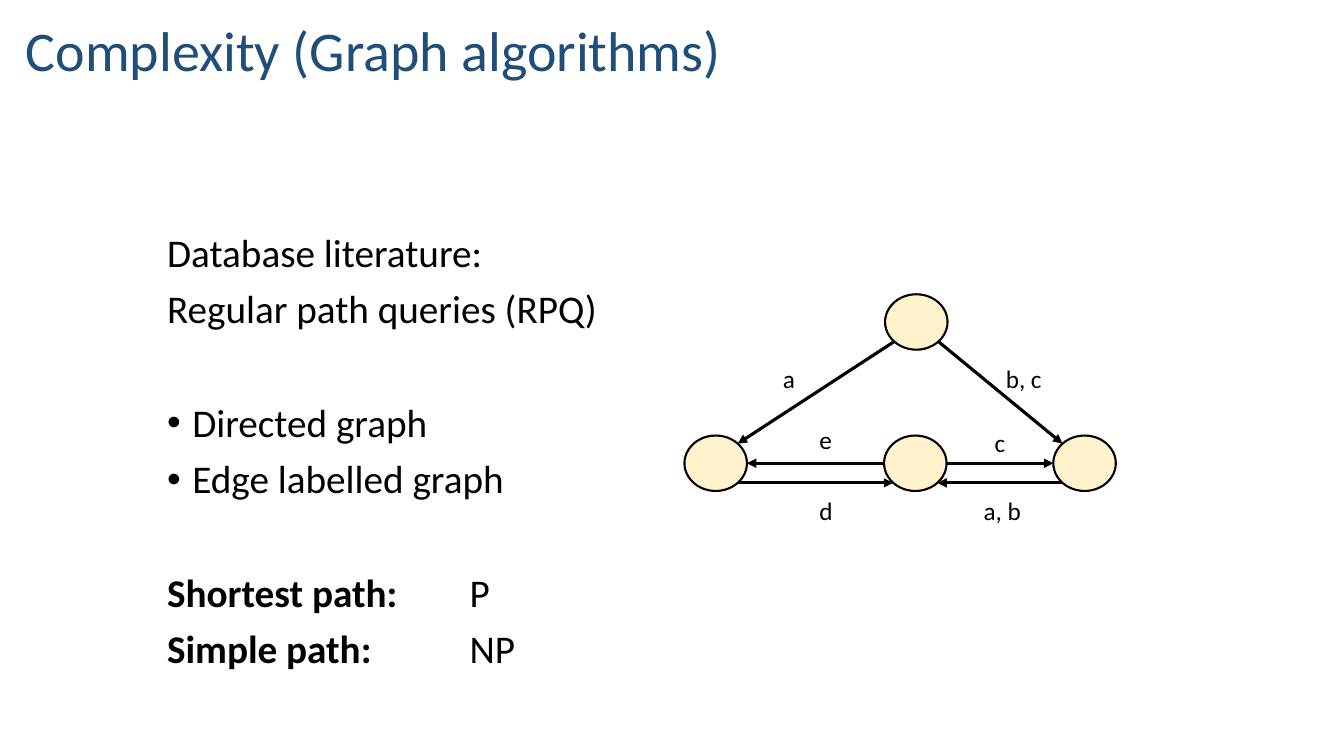
from dataclasses import dataclass
from math import sqrt

from lxml import etree
from pptx import Presentation
from pptx.dml.color import RGBColor
from pptx.enum.shapes import MSO_CONNECTOR, MSO_SHAPE
from pptx.enum.text import MSO_ANCHOR, MSO_AUTO_SIZE
from pptx.oxml.ns import qn
from pptx.util import Pt

STRAIGHT = MSO_CONNECTOR.STRAIGHT
ELLIPSE = MSO_SHAPE.OVAL
TOP, BOTTOM = MSO_ANCHOR.TOP, MSO_ANCHOR.BOTTOM
NO_FIT, FIT_SHAPE = MSO_AUTO_SIZE.NONE, MSO_AUTO_SIZE.SHAPE_TO_FIT_TEXT


@dataclass(frozen=True)
class Theme:
    font: str = "Calibri"
    title: RGBColor = RGBColor(0x1F, 0x4E, 0x79)
    ink: RGBColor = RGBColor(0, 0, 0)
    node: RGBColor = RGBColor(0xFF, 0xF2, 0xCC)
    title_size: float = 40
    body_size: float = 28
    label_size: float = 18
    outline: float = 1.5
    arrow: float = 2.25


THEME = Theme()
NODE_W, NODE_H = 44.64, 39.6
SPACING, SECTION_SPACING = 10, 50.75
BULLET_INDENT, ANSWER_TAB = 18, 216

BODY = [
    ([("Database literature:", False)], SPACING, False),
    ([("Regular path queries (RPQ)", False)], SPACING, False),
    ([("Directed graph", False)], SECTION_SPACING, True),
    ([("Edge labelled graph", False)], SPACING, True),
    ([("Shortest path: ", True), ("\tP", False)], SECTION_SPACING, False),
    ([("Simple path: ", True), ("\tNP", False)], SPACING, False),
]

NODES = {
    "top": (654.5, 230),
    "left": (511.2, 330.9),
    "middle": (653.8, 330.9),
    "right": (774.7, 330.9),
}

DIAGONAL = 1 / sqrt(2)
SITES = {
    "W": (-1, 0),
    "E": (1, 0),
    "SW": (-DIAGONAL, DIAGONAL),
    "SE": (DIAGONAL, DIAGONAL),
    "NW": (-DIAGONAL, -DIAGONAL),
    "NE": (DIAGONAL, -DIAGONAL),
}

EDGES = [
    ("top", "SW", "left", "NE"),
    ("top", "SE", "right", "NW"),
    ("middle", "W", "left", "E"),
    ("middle", "E", "right", "W"),
    ("left", "SE", "middle", "SW"),
    ("right", "SW", "middle", "SE"),
]

LABELS = [
    ("a", 552.2, 256.3, 23),
    ("b, c", 711.4, 256.3, 40.3),
    ("e", 578.2, 299.5, 24.5),
    ("c", 703.4, 301.7, 22.3),
    ("d", 578.2, 350.6, 24.5),
    ("a, b", 695.5, 350.6, 41.8),
]


def apply(target, values):
    for name, value in values.items():
        setattr(target, name, value)


def add_text_frame(shapes, left, top, width, height, **frame_format):
    tf = shapes.add_textbox(Pt(left), Pt(top), Pt(width), Pt(height)).text_frame
    apply(tf, {"word_wrap": True, "auto_size": NO_FIT,
               "vertical_anchor": TOP, **frame_format})
    return tf


def add_run(p, text, size, color, bold=False):
    r = p.add_run()
    r.text = text
    apply(r.font, {"name": THEME.font, "size": Pt(size), "bold": bold})
    r.font.color.rgb = color


def add_bullet(p):
    pPr = p._p.get_or_add_pPr()
    pPr.set("marL", str(Pt(BULLET_INDENT)))
    pPr.set("indent", str(-Pt(BULLET_INDENT)))
    etree.SubElement(pPr, qn("a:buFont")).set("typeface", "Arial")
    etree.SubElement(pPr, qn("a:buChar")).set("char", "•")


def add_tab_stop(p, position):
    tabs = etree.SubElement(p._p.get_or_add_pPr(), qn("a:tabLst"))
    tab = etree.SubElement(tabs, qn("a:tab"))
    tab.set("pos", str(Pt(position)))
    tab.set("algn", "l")


def add_title(shapes, text):
    tf = add_text_frame(shapes, 11.5, -3.6, 571, 67, vertical_anchor=BOTTOM)
    p = tf.paragraphs[0]
    p.line_spacing = 0.9
    add_run(p, text, THEME.title_size, THEME.title)


def add_body(shapes):
    tf = add_text_frame(shapes, 112.3, 163.4, 414.7, 364.3)
    for i, (runs, space, bulleted) in enumerate(BODY):
        p = tf.add_paragraph() if i else tf.paragraphs[0]
        apply(p, {"line_spacing": 0.9, "space_before": Pt(space)})
        if bulleted:
            add_bullet(p)
        if len(runs) > 1:
            add_tab_stop(p, ANSWER_TAB)
        for text, bold in runs:
            add_run(p, text, THEME.body_size, THEME.ink, bold)


def add_node(shapes, x, y):
    sp = shapes.add_shape(ELLIPSE, Pt(x - NODE_W / 2), Pt(y - NODE_H / 2),
                          Pt(NODE_W), Pt(NODE_H))
    sp.shadow.inherit = False
    sp.fill.solid()
    sp.fill.fore_color.rgb = THEME.node
    sp.line.color.rgb = THEME.ink
    sp.line.width = Pt(THEME.outline)


def site_point(node, site):
    (x, y), (dx, dy) = NODES[node], SITES[site]
    return Pt(x + dx * NODE_W / 2), Pt(y + dy * NODE_H / 2)


def add_edge(shapes, source, source_site, target, target_site):
    cxn = shapes.add_connector(STRAIGHT, *site_point(source, source_site),
                               *site_point(target, target_site))
    cxn.line.color.rgb = THEME.ink
    cxn.line.width = Pt(THEME.arrow)
    etree.SubElement(cxn.line._get_or_add_ln(), qn("a:tailEnd")).set("type", "triangle")
    etree.SubElement(cxn._element.spPr, qn("a:effectLst"))


def add_label(shapes, text, left, top, width):
    tf = add_text_frame(shapes, left, top, width, 29,
                        word_wrap=False, auto_size=FIT_SHAPE)
    add_run(tf.paragraphs[0], text, THEME.label_size, THEME.ink)


def add_graph(shapes):
    group = shapes.add_group_shape().shapes
    for center in NODES.values():
        add_node(group, *center)
    for edge in EDGES:
        add_edge(group, *edge)
    for label in LABELS:
        add_label(group, *label)


def main():
    prs = Presentation()
    apply(prs, {"slide_width": Pt(960), "slide_height": Pt(540)})
    s = prs.slides.add_slide(prs.slide_layouts[6])
    add_body(s.shapes)
    add_title(s.shapes, "Complexity (Graph algorithms)")
    add_graph(s.shapes)
    prs.save("out.pptx")


if __name__ == "__main__":
    main()
